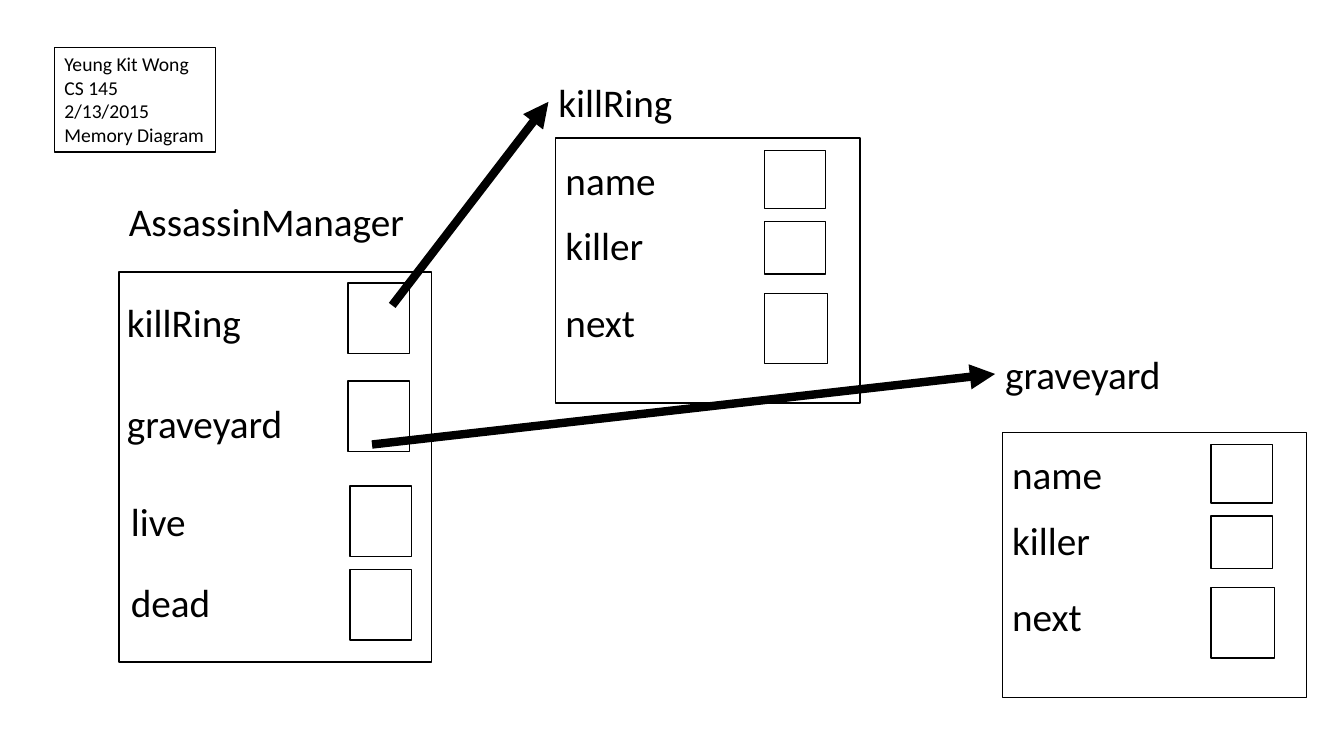
from lxml.etree import SubElement
from pptx import Presentation
from pptx.dml.color import RGBColor
from pptx.enum.shapes import MSO_CONNECTOR as Link, MSO_SHAPE as Shape
from pptx.enum.text import MSO_ANCHOR as Anchor, PP_ALIGN as Align
from pptx.oxml.ns import qn
from pptx.util import Inches, Pt

COLORS = {"ink": "000000", "paper": "FFFFFF"}
FONT = "Calibri"

CARD = ["Yeung Kit Wong", "CS 145", "2/13/2015", "Memory Diagram"]

MANAGER = {
    "title": ("AssassinManager", 0, -0.79, 3.17),
    "size": (3.1, 3.87),
    "fields": [
        ("killRing", -0.02, 0.21, 1.39, (2.27, 0.11, 0.61, 0.7)),
        ("graveyard", -0.02, 1.21, 1.84, (2.27, 1.08, 0.61, 0.7)),
        ("live", 0.02, 2.18, 1.84, (2.29, 2.12, 0.61, 0.7)),
        ("dead", 0.02, 2.99, 1.84, (2.29, 2.95, 0.61, 0.7)),
    ],
}
NODE = {
    "size": (3.02, 2.63),
    "fields": [
        ("name", 0, 0.13, 2.35, (2.07, 0.12, 0.61, 0.58)),
        ("killer", 0, 0.78, 1.99, (2.07, 0.83, 0.61, 0.52)),
        ("next", 0, 1.54, 2.85, (2.07, 1.54, 0.63, 0.7)),
    ],
}
RING = {**NODE, "title": ("killRing", -0.07, -0.64, 2.22)}
GRAVE = {**NODE, "title": ("graveyard", -0.07, -0.86, 2.59)}

RECORDS = [(MANAGER, 1.18, 2.7), (RING, 5.51, 1.37), (GRAVE, 9.94, 4.29)]
ARROWS = [(3.69, 4.41, 9.87, 3.71), (3.89, 3.03, 5.44, 1.01)]


def color(name):
    return RGBColor.from_string(COLORS[name])


def write(frame, lines, size):
    for i, line in enumerate(lines):
        par = frame.paragraphs[0] if i == 0 else frame.add_paragraph()
        par.alignment = Align.LEFT
        run = par.add_run()
        run.text = line
        run.font.name = FONT
        run.font.size = Pt(size)
        run.font.color.rgb = color("ink")


def label(slide, text, left, top, width):
    box = slide.shapes.add_textbox(*map(Inches, (left, top, width, 0.57)))
    box.text_frame.word_wrap = True
    write(box.text_frame, [text], 28)


def frame(slide, left, top, width, height):
    box = slide.shapes.add_shape(
        Shape.RECTANGLE, *map(Inches, (left, top, width, height)))
    box.shadow.inherit = False
    box.fill.background()
    box.line.color.rgb = color("ink")
    box.line.width = Pt(1)
    return box


def record(slide, data, left, top):
    frame(slide, left, top, *data["size"])
    text, x, y, width = data["title"]
    label(slide, text, left + x, top + y, width)
    for text, x, y, width, cell in data["fields"]:
        label(slide, text, left + x, top + y, width)
        cx, cy, wide, high = cell
        frame(slide, left + cx, top + cy, wide, high)


def arrow(slide, *ends):
    link = slide.shapes.add_connector(Link.STRAIGHT, *map(Inches, ends))
    link.line.color.rgb = color("ink")
    link.line.width = Pt(6)
    SubElement(link.line._get_or_add_ln(), qn("a:tailEnd"), type="triangle")
    SubElement(link._element.spPr, qn("a:effectLst"))


def card(slide):
    box = frame(slide, 0.54, 0.47, 1.6, 1.04)
    box.fill.solid()
    box.fill.fore_color.rgb = color("paper")
    box.text_frame.word_wrap = False
    box.text_frame.vertical_anchor = Anchor.TOP
    write(box.text_frame, CARD, 14)


def main():
    deck = Presentation()
    deck.slide_width = Inches(13.33)
    deck.slide_height = Inches(7.5)
    slide = deck.slides.add_slide(deck.slide_layouts[6])
    for item in RECORDS:
        record(slide, *item)
    for ends in ARROWS:
        arrow(slide, *ends)
    card(slide)
    deck.save("out.pptx")


if __name__ == "__main__":
    main()
